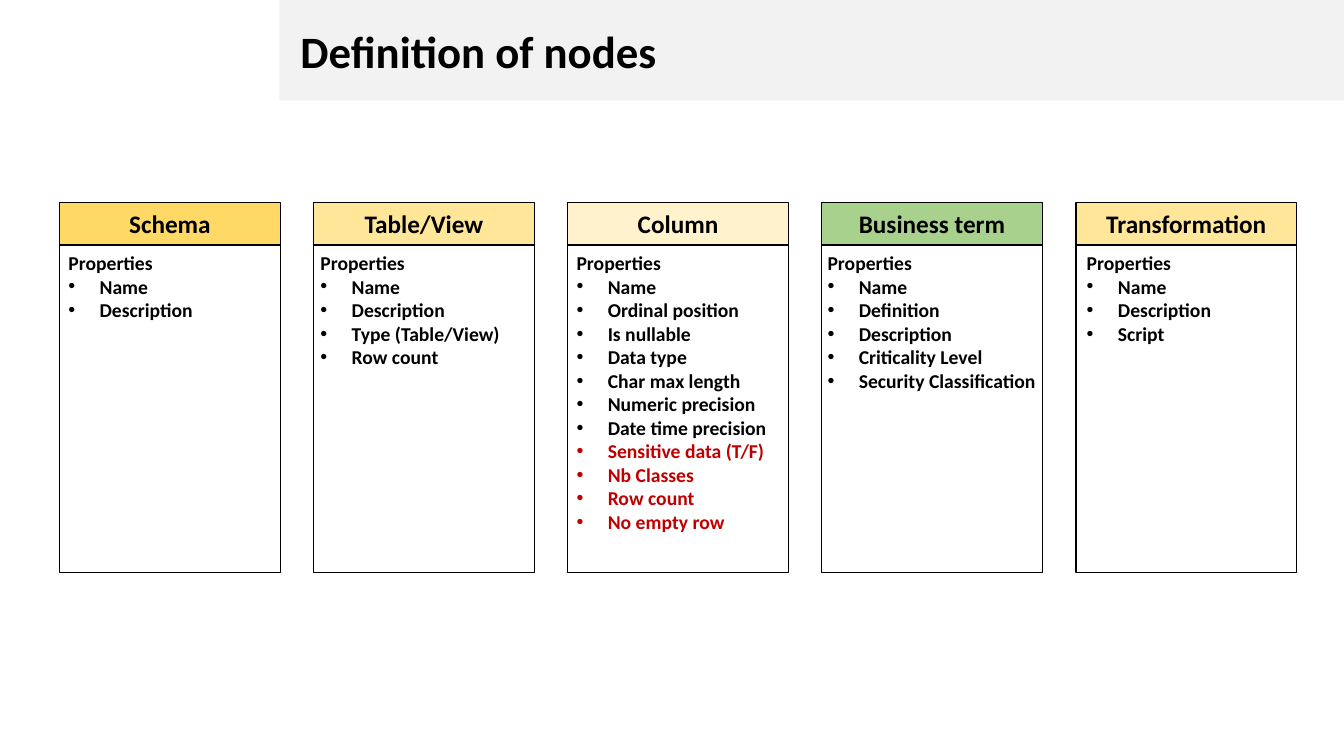
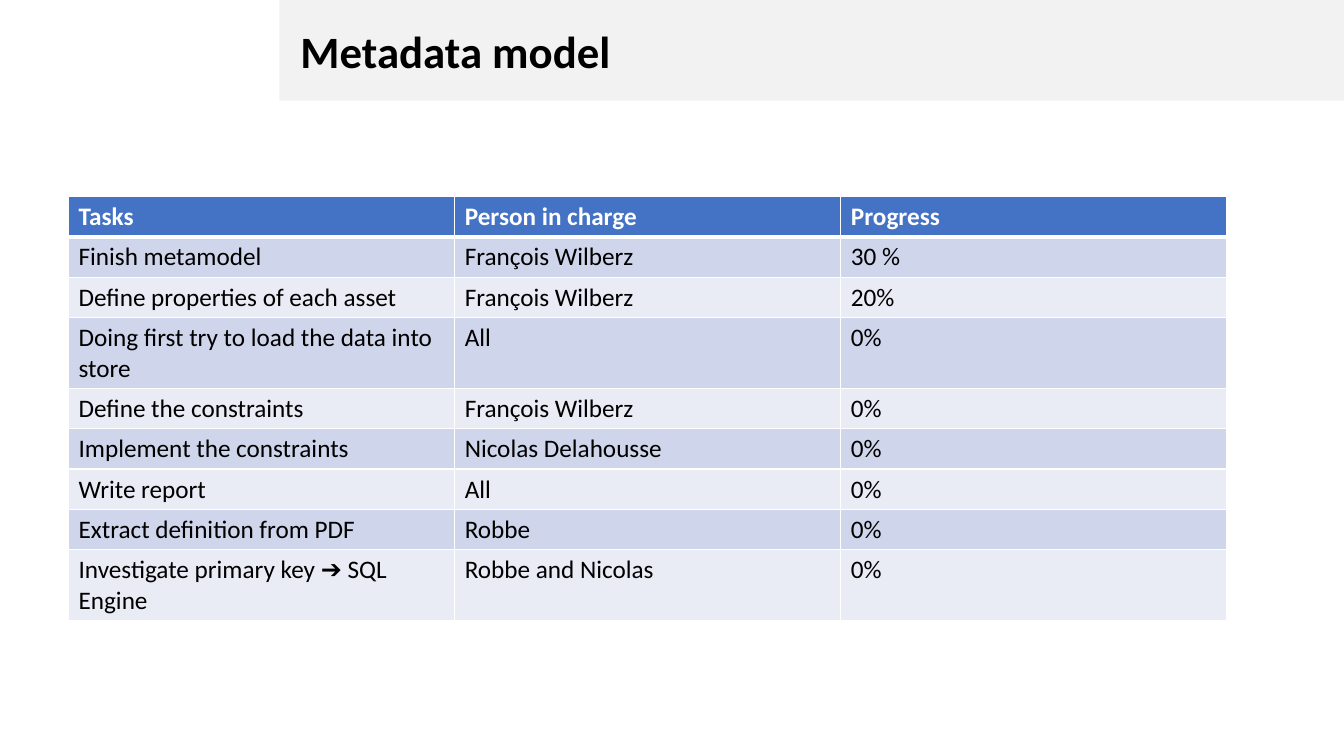
from lxml import etree
from pptx import Presentation
from pptx.dml.color import RGBColor
from pptx.enum.shapes import MSO_SHAPE
from pptx.enum.text import MSO_ANCHOR, PP_ALIGN
from pptx.oxml.ns import qn
from pptx.util import Inches, Pt

FONT = "Calibri"
BLACK, WHITE, RED = "000000", "FFFFFF", "C00000"
BAND = "F2F2F2"
HEADER_BLUE = "4472C4"
ROW_FILLS = ["CFD5EA", "E9EBF5"]

# Card grid
CARD_LEFT, CARD_TOP, CARD_STEP = 0.59, 2.01, 2.52
CARD_WIDTH, HEAD_HEIGHT, BODY_HEIGHT = 2.19, 0.42, 3.25
BULLET_INDENT = 0.31

# Heading, fill, left edge of the list, properties, properties in red
CARDS = [
    ("Schema", "FFD966", 0.58, ["Name", "Description"], []),
    ("Table/View", "FFE699", 3.08,
     ["Name", "Description", "Type (Table/View)", "Row count"], []),
    ("Column", "FFF2CC", 5.62,
     ["Name", "Ordinal position", "Is nullable", "Data type",
      "Char max length", "Numeric precision", "Date time precision"],
     ["Sensitive data (T/F)", "Nb Classes", "Row count", "No empty row"]),
    ("Business term", "A9D18E", 8.11,
     ["Name", "Definition", "Description", "Criticality Level",
      "Security Classification"], []),
    ("Transformation", "FFE699", 10.68, ["Name", "Description", "Script"], []),
]

TASKS = [
    ("Tasks", "Person in charge", "Progress"),
    ("Finish metamodel", "François Wilberz", "30 %"),
    ("Define properties of each asset", "François Wilberz", "20%"),
    ("Doing first try to load the data into store", "All", "0%"),
    ("Define the constraints", "François Wilberz", "0%"),
    ("Implement the constraints", "Nicolas Delahousse", "0%"),
    ("Write report", "All", "0%"),
    ("Extract definition from PDF", "Robbe", "0%"),
    ("Investigate primary key ➔ SQL Engine", "Robbe and Nicolas", "0%"),
]


def rgb(color):
    return RGBColor.from_string(color)


def add_run(p, text, size, color=BLACK, bold=True):
    r = p.add_run()
    r.text = text
    r.font.name = FONT
    r.font.size = Pt(size)
    r.font.bold = bold
    r.font.color.rgb = rgb(color)


def add_rect(s, left, top, width, height, fill=None, line=None):
    sp = s.shapes.add_shape(MSO_SHAPE.RECTANGLE, Inches(left), Inches(top),
                            Inches(width), Inches(height))
    sp.shadow.inherit = False
    if fill:
        sp.fill.solid()
        sp.fill.fore_color.rgb = rgb(fill)
    else:
        sp.fill.background()
    if line:
        sp.line.color.rgb = rgb(line)
        sp.line.width = Pt(1)
    else:
        sp.line.fill.background()
    sp.text_frame.vertical_anchor = MSO_ANCHOR.MIDDLE
    return sp


def add_slide(prs, title):
    """Blank slide with the title band."""
    s = prs.slides.add_slide(prs.slide_layouts[6])
    tf = add_rect(s, 2.77, 0, 10.56, 1, BAND).text_frame
    tf.margin_left = Inches(0.21)
    p = tf.paragraphs[0]
    p.alignment = PP_ALIGN.LEFT
    add_run(p, title, 32)
    return s


def add_bullet(tf, text, color):
    p = tf.add_paragraph()
    pPr = p._p.get_or_add_pPr()
    pPr.set("marL", str(Inches(BULLET_INDENT)))
    pPr.set("indent", str(-Inches(BULLET_INDENT)))
    etree.SubElement(pPr, qn("a:buFont"), typeface="Arial")
    etree.SubElement(pPr, qn("a:buChar"), char="•")
    add_run(p, text, 14, color)


def add_card(s, left, heading, fill, list_left, properties, red_properties):
    # Heading and frame
    head = add_rect(s, left, CARD_TOP, CARD_WIDTH, HEAD_HEIGHT, fill, BLACK)
    p = head.text_frame.paragraphs[0]
    p.alignment = PP_ALIGN.CENTER
    add_run(p, heading, 18)
    body_top = CARD_TOP + HEAD_HEIGHT
    add_rect(s, left, body_top, CARD_WIDTH, BODY_HEIGHT, line=BLACK)

    # Property list
    box = s.shapes.add_textbox(Inches(list_left), Inches(body_top + 0.01),
                               Inches(2.3), Inches(2.93))
    tf = box.text_frame
    tf.word_wrap = True
    add_run(tf.paragraphs[0], "Properties", 14)
    for color, names in ((BLACK, properties), (RED, red_properties)):
        for name in names:
            add_bullet(tf, name, color)


def set_borders(cell, **widths):
    tcPr = cell._tc.get_or_add_tcPr()
    for i, (side, width) in enumerate(widths.items()):
        ln = etree.Element(qn("a:ln" + side), w=str(Pt(width)))
        fill = etree.SubElement(ln, qn("a:solidFill"))
        etree.SubElement(fill, qn("a:srgbClr"), val=WHITE)
        tcPr.insert(i, ln)


def add_table(s, rows, left, top, col_width, row_height):
    cols = len(rows[0])
    table = s.shapes.add_table(
        len(rows), cols, Inches(left), Inches(top),
        Inches(col_width * cols), Inches(row_height * len(rows))).table
    for col in table.columns:
        col.width = Inches(col_width)
    for i, row in enumerate(rows):
        is_header = i == 0
        for j, text in enumerate(row):
            cell = table.cell(i, j)
            cell.fill.solid()
            cell.fill.fore_color.rgb = rgb(
                HEADER_BLUE if is_header else ROW_FILLS[(i - 1) % 2])
            set_borders(cell, L=1, R=1, T=3 if i == 1 else 1,
                        B=3 if is_header else 1)
            add_run(cell.text_frame.paragraphs[0], text, 18,
                    WHITE if is_header else BLACK, is_header)


def main():
    prs = Presentation()
    prs.slide_width, prs.slide_height = Inches(13.33), Inches(7.5)

    # Node cards
    s = add_slide(prs, "Definition of nodes")
    for i, card in enumerate(CARDS):
        add_card(s, CARD_LEFT + i * CARD_STEP, *card)

    # Task table
    s = add_slide(prs, "Metadata model")
    add_table(s, TASKS, 0.68, 1.95, 3.83, 0.4)

    prs.save("out.pptx")


if __name__ == "__main__":
    main()
